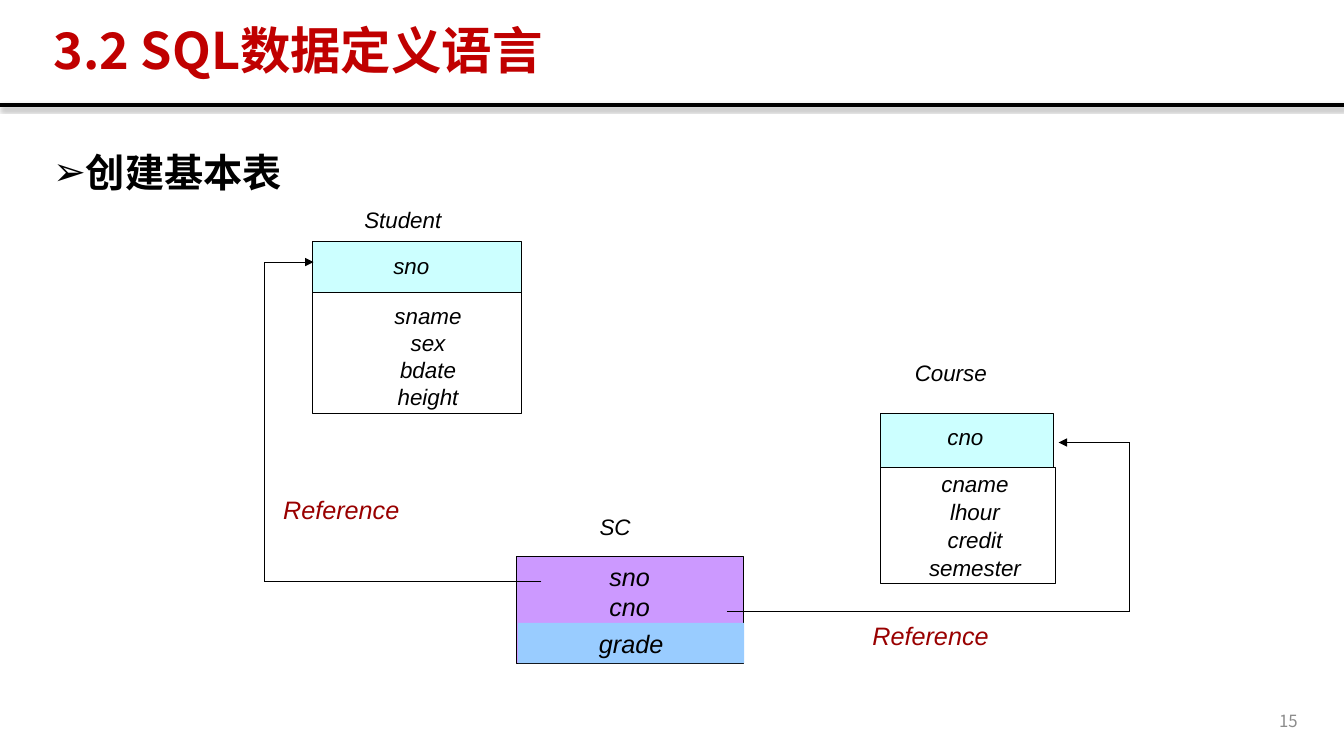
from lxml import etree
from pptx import Presentation
from pptx import util as u
from pptx.dml.color import RGBColor
from pptx.enum import shapes, text
from pptx.oxml import parse_xml
from pptx.oxml.ns import nsdecls, qn

COLORS = {
    "black": "000000", "title": "C00000", "reference": "990000", "number": "8C8C8C",
    "key": "CCFFFF", "foreign": "CC99FF", "plain": "99CCFF",
}
CJK = "Noto Sans CJK SC"
FIELD = {"name": "Arial", "size": u.Pt(16), "italic": True}
LARGE_FIELD = {**FIELD, "size": u.Pt(18)}
CENTER = {"alignment": text.PP_ALIGN.CENTER}
JUSTIFY = {"alignment": text.PP_ALIGN.JUSTIFY}
TIGHT = {**CENTER, "line_spacing": 0.6, "space_before": u.Pt(8.4)}


def rgb(name):
    return RGBColor.from_string(COLORS[name])


def inches(values):
    return [u.Inches(v) for v in values]


def set_attrs(target, values):
    for name, value in values.items():
        setattr(target, name, value)


def write(sp, lines, font, color="black", para=CENTER, frame=None):
    tf = sp.text_frame
    set_attrs(tf, {"word_wrap": True, "vertical_anchor": text.MSO_ANCHOR.TOP,
                   "auto_size": text.MSO_AUTO_SIZE.NONE, **(frame or {})})
    for i, line in enumerate(lines):
        p = tf.paragraphs[0] if i == 0 else tf.add_paragraph()
        set_attrs(p, para)
        if i == 0:
            p.space_before = u.Pt(0)
        r = p.add_run()
        r.text = line
        set_attrs(r.font, font)
        r.font.color.rgb = rgb(color)
        if font["name"] == CJK:
            etree.SubElement(r.font._element, qn("a:ea"), typeface=CJK)
    return tf


def add_label(s, at, lines, font=FIELD, color="black", para=CENTER, frame=None):
    sp = s.shapes.add_textbox(*inches(at))
    return write(sp, lines, font, color, para, frame)


def add_box(s, at, fill=None, outlined=True):
    sp = s.shapes.add_shape(shapes.MSO_SHAPE.RECTANGLE, *inches(at))
    sp.shadow.inherit = False
    if fill:
        sp.fill.solid()
        sp.fill.fore_color.rgb = rgb(fill)
    else:
        sp.fill.background()
    if outlined:
        sp.line.color.rgb = rgb("black")
        sp.line.width = u.Pt(0.75)
    else:
        sp.line.fill.background()
    return sp


def add_line(s, start, end, width=0.75, arrow=False, shadow=""):
    c = s.shapes.add_connector(shapes.MSO_CONNECTOR.STRAIGHT, *inches(start + end))
    c.line.color.rgb = rgb("black")
    c.line.width = u.Pt(width)
    if arrow:
        etree.SubElement(c.line._get_or_add_ln(), qn("a:tailEnd"), type="triangle")
    c._element.spPr.append(
        parse_xml(f'<a:effectLst {nsdecls("a")}>{shadow}</a:effectLst>'))


def add_path(s, points):
    for i, (start, end) in enumerate(zip(points, points[1:])):
        add_line(s, start, end, arrow=i == len(points) - 2)


def add_title(s, words):
    sp = s.shapes.title
    sp.left, sp.top, sp.width, sp.height = inches((0.43, 0.2, 11.7, 0.65))
    write(sp, [words], {"name": CJK, "size": u.Pt(36), "bold": True}, "title",
          {**JUSTIFY, "line_spacing": 0.9},
          {"vertical_anchor": text.MSO_ANCHOR.MIDDLE})
    shadow = ('<a:outerShdw blurRad="39370" dist="22860" dir="5400000">'
              '<a:srgbClr val="000000"><a:alpha val="35000"/></a:srgbClr></a:outerShdw>')
    add_line(s, (0, 1.04), (13.33, 1.04), 3, shadow=shadow)


def add_heading(s, words):
    tf = add_label(s, (0.43, 1.33, 12.53, 0.8), [words],
                   {"name": CJK, "size": u.Pt(28), "bold": True},
                   para={**JUSTIFY, "line_spacing": 1.2})
    pPr = tf.paragraphs[0]._p.get_or_add_pPr()
    pPr.set("marL", str(u.Inches(0.25)))
    pPr.set("indent", str(u.Inches(-0.25)))
    etree.SubElement(pPr, qn("a:buFont"), typeface="Arial")
    etree.SubElement(pPr, qn("a:buChar"), char="➢")


def add_student(s):
    add_label(s, (3.27, 2, 1.45, 0.37), ["Student"])
    add_box(s, (3.1, 2.4, 2.07, 0.5), "key")
    add_label(s, (2.86, 2.45, 2.44, 0.37), ["sno"])
    add_box(s, (3.1, 2.9, 2.07, 1.2))
    add_label(s, (3.12, 2.95, 2.25, 1.17), ["sname", "sex", "bdate", "height"])


def add_course(s):
    add_label(s, (8.82, 3.51, 1.22, 0.37), ["Course"])
    add_box(s, (8.73, 4.1, 1.72, 0.54), "key")
    add_label(s, (8.62, 4.15, 1.91, 0.37), ["cno"])
    add_box(s, (8.73, 4.64, 1.74, 1.15))
    add_label(s, (8.79, 4.71, 1.76, 1.46),
              ["cname", "lhour", "credit", "semester"], para=TIGHT)


def add_sc(s):
    add_label(s, (5.29, 5.04, 1.62, 0.37), ["SC"])
    write(add_box(s, (5.12, 5.52, 2.25, 1.06), "foreign"), ["sno", "cno"], LARGE_FIELD)
    write(add_box(s, (5.14, 6.18, 2.24, 0.4), "plain", False), ["grade"], LARGE_FIELD)


def add_references(s):
    add_path(s, [(5.37, 5.77), (2.62, 5.77), (2.62, 2.6), (3.11, 2.6)])
    add_path(s, [(7.21, 6.07), (11.2, 6.07), (11.2, 4.39), (10.5, 4.39)])
    for at in ((2.62, 4.85, 1.53, 0.4), (8.51, 6.1, 1.44, 0.4)):
        add_label(s, at, ["Reference"], LARGE_FIELD, "reference")


def main():
    prs = Presentation()
    prs.slide_width, prs.slide_height = inches((13.33, 7.5))
    s = prs.slides.add_slide(prs.slide_layouts[5])
    add_title(s, "3.2 SQL数据定义语言")
    add_heading(s, "创建基本表")
    add_student(s)
    add_course(s)
    add_sc(s)
    add_references(s)
    add_label(s, (9.97, 6.95, 3, 0.4), ["15"], {"name": CJK, "size": u.Pt(12)},
              "number", {"alignment": text.PP_ALIGN.RIGHT},
              {"vertical_anchor": text.MSO_ANCHOR.MIDDLE})
    prs.save("out.pptx")


if __name__ == "__main__":
    main()
